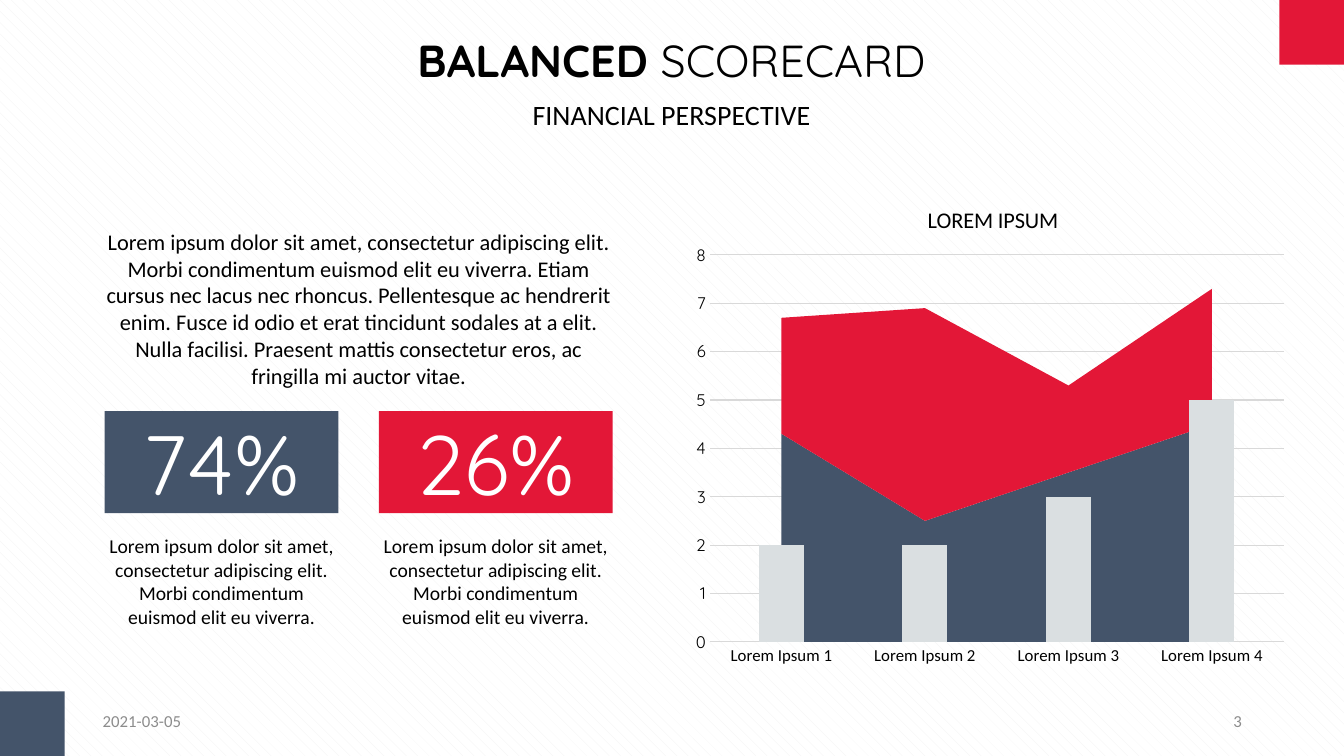
from lxml.etree import SubElement
from pptx import Presentation
from pptx.chart.data import CategoryChartData
from pptx.dml.color import RGBColor
from pptx.enum.chart import XL_CHART_TYPE, XL_TICK_MARK
from pptx.enum.dml import MSO_PATTERN
from pptx.enum.shapes import MSO_SHAPE
from pptx.enum.text import MSO_ANCHOR, PP_ALIGN
from pptx.oxml.ns import qn
from pptx.util import Cm, Pt

COLORS = {
    "red": "E31737", "navy": "44546A", "silver": "DADFE1", "grid": "D9D9D9",
    "muted": "8C8C8C", "stripe": "F2F2F2", "black": "000000", "white": "FFFFFF",
}
BODY, DISPLAY = "Calibri", "Quicksand"
SHORT = ("Lorem ipsum dolor sit amet, consectetur adipiscing elit. "
         "Morbi condimentum euismod elit eu viverra.")
LONG = (SHORT + " Etiam cursus nec lacus nec rhoncus. Pellentesque ac hendrerit enim. "
        "Fusce id odio et erat tincidunt sodales at a elit. Nulla facilisi. "
        "Praesent mattis consectetur eros, ac fringilla mi auctor vitae.")


def rgb(name):
    return RGBColor.from_string(COLORS[name])


def set_font(font, size, color="black", name=BODY):
    font.size, font.name = Pt(size), name
    font.color.rgb = rgb(color)


def format_frame(tf, anchor=MSO_ANCHOR.TOP, inset=0):
    tf.word_wrap = True
    tf.vertical_anchor = anchor
    tf.margin_left = tf.margin_right = Cm(inset)
    tf.margin_top = tf.margin_bottom = 0


def write(tf, text, size, color="black", name=BODY, align=PP_ALIGN.CENTER):
    p = tf.paragraphs[0]
    p.text, p.alignment = text, align
    set_font(p.font, size, color, name)


def add_text(s, box, text, size, **style):
    tf = s.shapes.add_textbox(*map(Cm, box)).text_frame
    format_frame(tf)
    write(tf, text, size, **style)


def add_block(s, box, color):
    sp = s.shapes.add_shape(MSO_SHAPE.RECTANGLE, *map(Cm, box))
    sp.shadow.inherit = False
    sp.fill.solid()
    sp.fill.fore_color.rgb = rgb(color)
    sp.line.fill.background()
    return sp


def add_backdrop(s, width, height):
    fill = s.background.fill
    fill.patterned()
    fill.pattern = MSO_PATTERN.SHINGLE
    fill.fore_color.rgb, fill.back_color.rgb = rgb("stripe"), rgb("white")
    side = 1.63
    add_block(s, (width - side, 0, side, side), "red")
    add_block(s, (0, height - side, side, side), "navy")


def add_heading(s, x, y, w):
    title = s.shapes.title
    title.left, title.top, title.width, title.height = map(Cm, (x, y, w, 1.37))
    tf = title.text_frame
    format_frame(tf, MSO_ANCHOR.MIDDLE)
    p = tf.paragraphs[0]
    p.alignment = PP_ALIGN.CENTER
    set_font(p.font, 32, name=DISPLAY)
    for text, bold in (("BALANCED ", True), ("SCORECARD", False)):
        r = p.add_run()
        r.text, r.font.bold = text, bold
    add_text(s, (x, y + 1.65, w, 0.86), "FINANCIAL PERSPECTIVE", 20)


def add_footer(s, x, y, w):
    field = 7.62
    for left, text, align in ((x, "2021-03-05", PP_ALIGN.LEFT),
                              (x + w - field, "3", PP_ALIGN.RIGHT)):
        tf = s.shapes.add_textbox(*map(Cm, (left, y, field, 1.02))).text_frame
        format_frame(tf, MSO_ANCHOR.MIDDLE, 0.25)
        write(tf, text, 12, "muted", align=align)


def add_summary(s, x, y, w):
    add_text(s, (x, y, w, 4.11), LONG, 16)
    gap = 1.02
    card_w = (w - gap) / 2
    for i, (value, color) in enumerate((("74%", "navy"), ("26%", "red"))):
        left, top = x + i * (card_w + gap), y + 4.62
        tf = add_block(s, (left, top, card_w, 2.57), color).text_frame
        format_frame(tf)
        write(tf, value, 60, "white", DISPLAY)
        add_text(s, (left, top + 3.1, card_w, 2.39), SHORT, 14)


def set_layout(parent, index, settings):
    for old in parent.findall(qn("c:layout")):
        parent.remove(old)
    layout = parent.makeelement(qn("c:layout"))
    parent.insert(index, layout)
    manual = SubElement(layout, qn("c:manualLayout"))
    for tag, value in settings.items():
        SubElement(manual, qn(f"c:{tag}")).set("val", str(value))


def move_to_columns(area, ser):
    bars = area.makeelement(qn("c:barChart"))
    area.addnext(bars)
    for tag, value in (("barDir", "col"), ("grouping", "clustered"), ("varyColors", "0")):
        SubElement(bars, qn(f"c:{tag}")).set("val", value)
    bars.append(ser)
    SubElement(bars, qn("c:gapWidth")).set("val", "219")
    for axis in area.findall(qn("c:axId")):
        SubElement(bars, qn("c:axId")).set("val", axis.get("val"))


def add_combo_chart(s, box):
    data = CategoryChartData()
    data.categories = [f"Lorem Ipsum {n}" for n in range(1, 5)]
    data.add_series("Series 1", (4.3, 2.5, 3.5, 4.5))
    data.add_series("Series 2", (2.4, 4.4, 1.8, 2.8))
    data.add_series("Series 3", (2, 2, 3, 5))
    chart = s.shapes.add_chart(XL_CHART_TYPE.AREA_STACKED, *map(Cm, box), data).chart
    chart.has_legend = False
    set_font(chart.font, 10)
    chart.has_title = True
    write(chart.chart_title.text_frame, "LOREM IPSUM", 16)
    chart.chart_title.text_frame.paragraphs[0].font.bold = False
    plot = chart.plots[0]
    plot.vary_by_categories = False
    for series, color in zip(plot.series, ("navy", "red", "silver")):
        series.format.fill.solid()
        series.format.fill.fore_color.rgb = rgb(color)

    cat, val = chart.category_axis, chart.value_axis
    for axis, font in ((cat, BODY), (val, DISPLAY)):
        axis.major_tick_mark = axis.minor_tick_mark = XL_TICK_MARK.NONE
        set_font(axis.tick_labels.font, 12, name=font)
    cat.has_major_gridlines = False
    val.has_major_gridlines = True
    for line in (cat.format.line, val.major_gridlines.format.line):
        line.color.rgb, line.width = rgb("grid"), Pt(0.75)
    val.format.line.fill.background()
    val.minimum_scale, val.maximum_scale, val.major_unit = 0, 8, 1

    root = chart.element
    area = root.xpath(".//c:areaChart")[0]
    move_to_columns(area, area.findall(qn("c:ser"))[2])
    root.xpath(".//c:crossBetween")[0].set("val", "between")
    set_layout(root.xpath(".//c:title")[0], 1,
               {"xMode": "edge", "yMode": "edge", "x": 0.39, "y": 0.04})
    set_layout(root.xpath(".//c:plotArea")[0], 0,
               {"layoutTarget": "inner", "xMode": "edge", "yMode": "edge",
                "x": 0.04, "y": 0.15, "w": 0.94, "h": 0.78})


def main():
    width, height = 33.87, 19.05
    prs = Presentation()
    prs.slide_width, prs.slide_height = Cm(width), Cm(height)
    s = prs.slides.add_slide(prs.slide_layouts[5])
    add_backdrop(s, width, height)
    add_footer(s, 2.34, 17.65, 29.21)
    add_heading(s, 4.06, 0.81, 25.73)
    add_combo_chart(s, (17.27, 4.55, 15.39, 12.5))
    add_summary(s, 2.64, 5.74, 12.8)
    prs.save("out.pptx")


if __name__ == "__main__":
    main()
